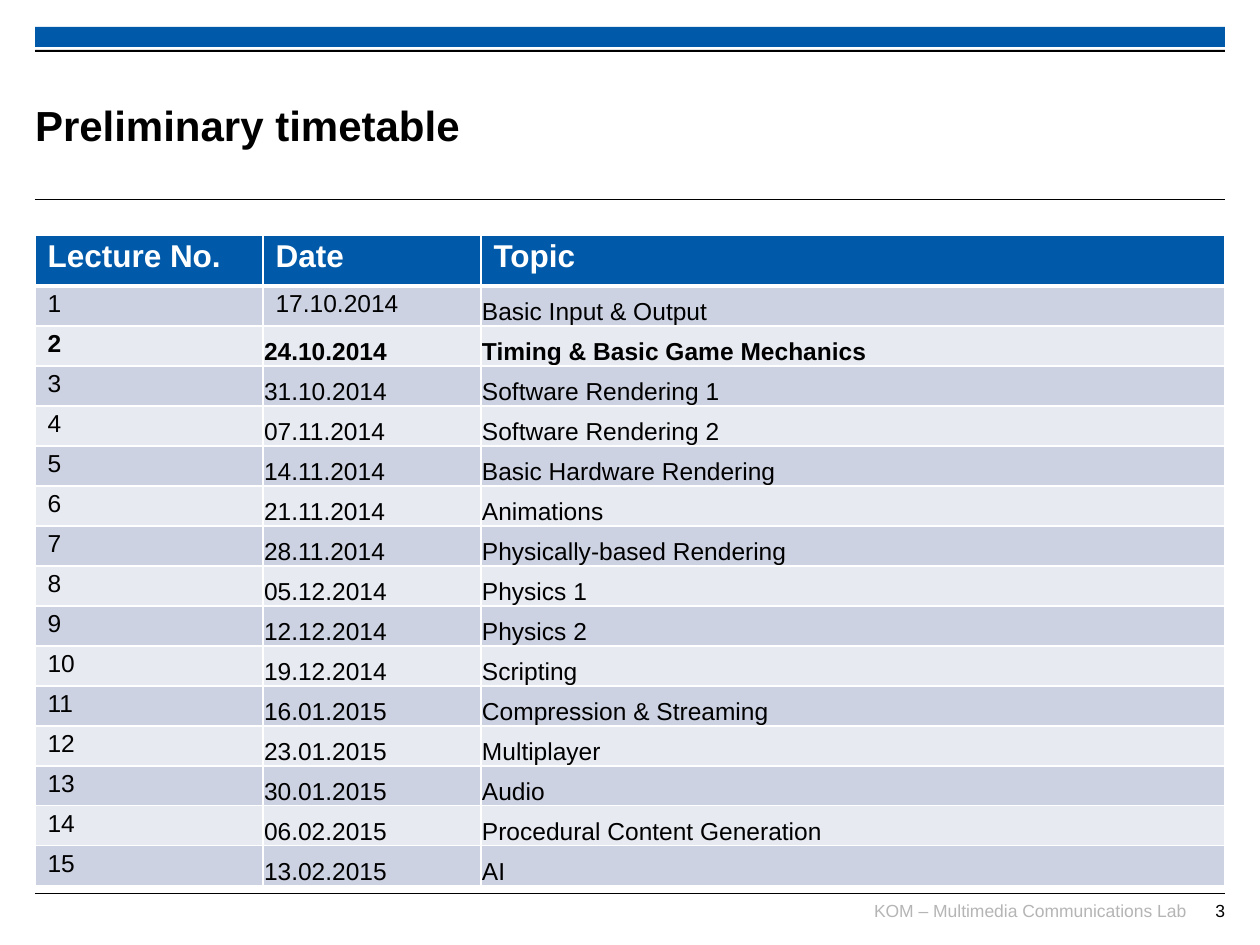
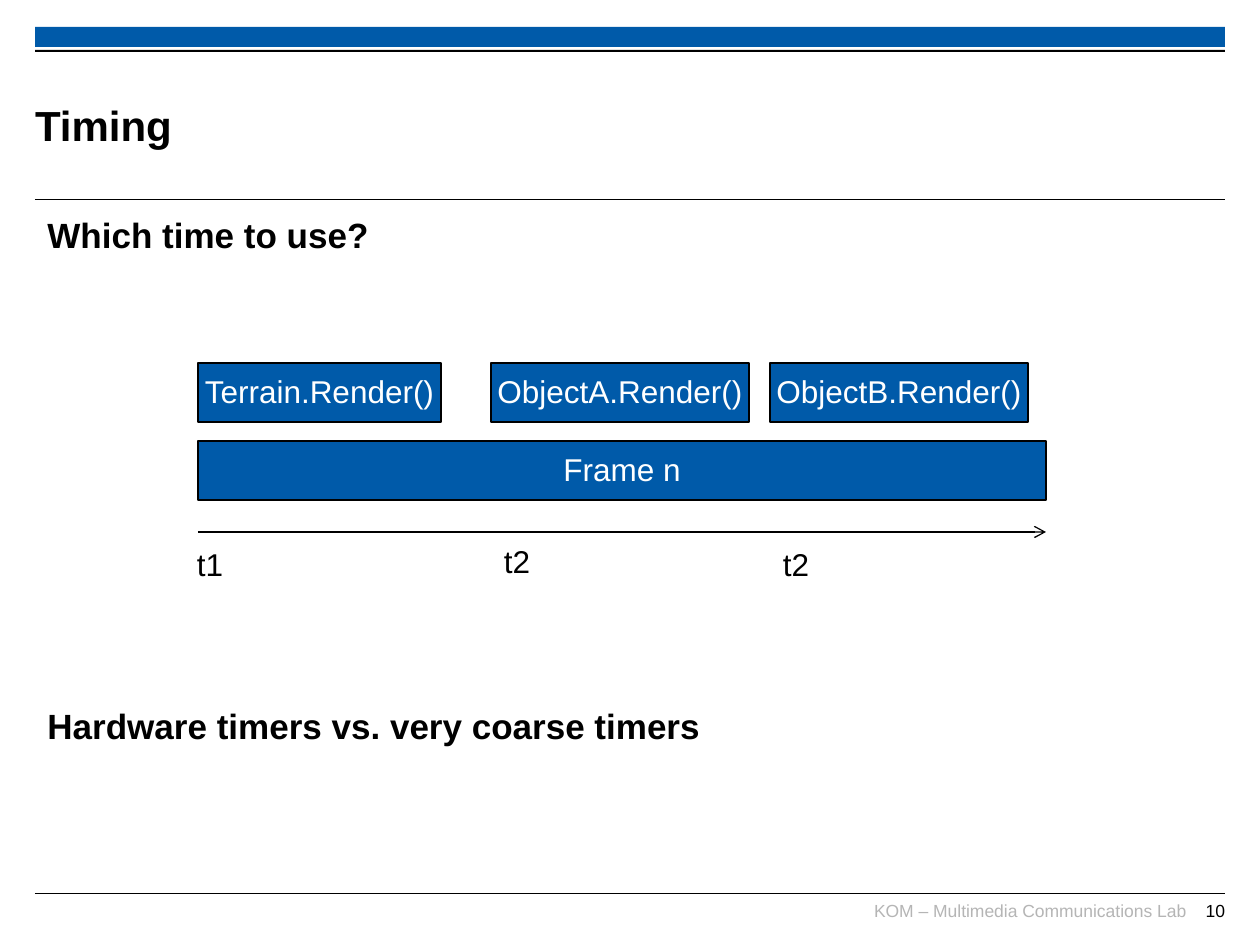
from dataclasses import dataclass

from lxml.etree import SubElement
from pptx import Presentation
from pptx.dml.color import RGBColor
from pptx.enum.shapes import MSO_CONNECTOR, MSO_SHAPE
from pptx.enum.text import MSO_ANCHOR, MSO_AUTO_SIZE, PP_ALIGN
from pptx.oxml.ns import qn
from pptx.util import Emu, Pt

PX_PER_INCH = 126
LEFT, WIDTH = 35, 1190
RIGHT = LEFT + WIDTH


def px(length):
    return Emu(round(length * 914400 / PX_PER_INCH))


@dataclass(frozen=True)
class Theme:
    font: str = "Arial"
    blue: str = "005AA9"
    black: str = "000000"
    white: str = "FFFFFF"
    footer_grey: str = "B5B5B5"
    row_fills: tuple = ("CCD2E2", "E7EAF1")
    title_size: int = 24
    body_size: int = 20
    label_size: int = 18
    cell_size: int = 14
    footer_size: int = 10
    line_spacing: float = 0.93
    rule_width: float = 0.6
    line_width: float = 0.75


class SlideBuilder:
    """Holds the theme and the current slide."""

    def __init__(self, presentation, theme):
        self.presentation = presentation
        self.theme = theme
        self.slide = None

    def new_slide(self, title, number):
        self.slide = self.presentation.slides.add_slide(self.presentation.slide_layouts[5])
        self.title(title)
        # Header band and rules
        self.rectangle(LEFT, 27, WIDTH, 20, self.theme.blue)
        self.rectangle(LEFT, 50, WIDTH, 2, self.theme.black)
        for y in (200, 894):
            self.line(LEFT, RIGHT, y, self.theme.rule_width)
        # Footer
        for text, left, right, color in (
            ("KOM – Multimedia Communications Lab", 868, 1186, self.theme.footer_grey),
            (str(number), 1171, RIGHT, self.theme.black),
        ):
            self.text(text, left, 900, right - left, 30, self.theme.footer_size,
                      color, align=PP_ALIGN.RIGHT, margin=0)

    def format(self, paragraph, size, color, bold=False, align=PP_ALIGN.LEFT):
        paragraph.alignment = align
        font = paragraph.font
        font.name, font.size, font.bold = self.theme.font, Pt(size), bold
        font.color.rgb = RGBColor.from_string(color)

    def set_margins(self, holder, left, top, right, bottom):
        holder.margin_left, holder.margin_top = px(left), px(top)
        holder.margin_right, holder.margin_bottom = px(right), px(bottom)

    def title(self, text):
        shape = self.slide.shapes.title
        shape.left, shape.top, shape.width, shape.height = px(LEFT), px(67), px(948), px(116)
        frame = shape.text_frame
        frame.text = text
        frame.auto_size = MSO_AUTO_SIZE.NONE
        frame.vertical_anchor = MSO_ANCHOR.MIDDLE
        self.set_margins(frame, 0, 0, 0, 0)
        self.format(frame.paragraphs[0], self.theme.title_size, self.theme.black, bold=True)

    def text(self, text, left, top, width, height, size, color, bold=False,
             align=PP_ALIGN.LEFT, margin=None, wrap=True):
        shape = self.slide.shapes.add_textbox(px(left), px(top), px(width), px(height))
        frame = shape.text_frame
        frame.text = text
        frame.word_wrap = wrap
        if margin is not None:
            self.set_margins(frame, margin, margin, margin, margin)
        for paragraph in frame.paragraphs:
            self.format(paragraph, size, color, bold, align)
        return frame

    def rectangle(self, left, top, width, height, fill):
        shape = self.slide.shapes.add_shape(
            MSO_SHAPE.RECTANGLE, px(left), px(top), px(width), px(height))
        shape.shadow.inherit = False
        shape.fill.solid()
        shape.fill.fore_color.rgb = RGBColor.from_string(fill)
        shape.line.fill.background()
        return shape

    def box(self, text, left, top, width, height):
        shape = self.rectangle(left, top, width, height, self.theme.blue)
        shape.line.color.rgb = RGBColor.from_string(self.theme.black)
        shape.line.width = Pt(self.theme.line_width)
        frame = shape.text_frame
        frame.text = text
        frame.word_wrap = False
        frame.vertical_anchor = MSO_ANCHOR.MIDDLE
        paragraph = frame.paragraphs[0]
        self.format(paragraph, self.theme.label_size, self.theme.white, align=PP_ALIGN.CENTER)
        paragraph.line_spacing = self.theme.line_spacing

    def line(self, left, right, y, width, arrow=False):
        connector = self.slide.shapes.add_connector(
            MSO_CONNECTOR.STRAIGHT, px(left), px(y), px(right), px(y))
        connector.line.color.rgb = RGBColor.from_string(self.theme.black)
        connector.line.width = Pt(width)
        if arrow:
            SubElement(connector.line._get_or_add_ln(), qn("a:tailEnd"), type="arrow")
        SubElement(connector._element.spPr, qn("a:effectLst"))

    def cell(self, cell, text, fill, size, color, bold, borders):
        cell.text = text
        paragraph = cell.text_frame.paragraphs[0]
        self.format(paragraph, size, color, bold)
        paragraph.line_spacing = self.theme.line_spacing
        properties = cell._tc.get_or_add_tcPr()
        for side, points in zip("LRTB", borders):
            border = SubElement(properties, qn(f"a:ln{side}"), w=str(Pt(points)))
            border_fill = SubElement(border, qn("a:solidFill"))
            SubElement(border_fill, qn("a:srgbClr"), val=self.theme.white)
        cell.fill.solid()
        cell.fill.fore_color.rgb = RGBColor.from_string(fill)

    def timetable(self, header, lectures, current, top, column_widths, header_height, row_height):
        theme = self.theme
        table = self.slide.shapes.add_table(
            len(lectures) + 1, len(header), px(LEFT), px(top), px(WIDTH),
            px(header_height + row_height * len(lectures))).table
        for column, width in zip(table.columns, column_widths):
            column.width = px(width)
        for row in table.rows:
            row.height = px(row_height)
        table.rows[0].height = px(header_height)

        for column, text in enumerate(header):
            self.cell(table.cell(0, column), text, theme.blue, theme.label_size,
                      theme.white, True, (1, 1, 1, 3))
        for number, lecture in enumerate(lectures, start=1):
            for column, text in enumerate((str(number), *lecture)):
                cell = table.cell(number, column)
                self.cell(cell, text, theme.row_fills[(number - 1) % 2], theme.cell_size,
                          theme.black, number == current, (1, 1, 3 if number == 1 else 1, 1))
                # Numbers and the first date keep the roomy default margins
                if column == 2 or (column == 1 and number > 1):
                    cell.vertical_anchor = MSO_ANCHOR.BOTTOM
                    self.set_margins(cell, 1, 1, 1, 0)


LECTURES = [
    ("17.10.2014", "Basic Input & Output"),
    ("24.10.2014", "Timing & Basic Game Mechanics"),
    ("31.10.2014", "Software Rendering 1"),
    ("07.11.2014", "Software Rendering 2"),
    ("14.11.2014", "Basic Hardware Rendering"),
    ("21.11.2014", "Animations"),
    ("28.11.2014", "Physically-based Rendering"),
    ("05.12.2014", "Physics 1"),
    ("12.12.2014", "Physics 2"),
    ("19.12.2014", "Scripting"),
    ("16.01.2015", "Compression & Streaming"),
    ("23.01.2015", "Multiplayer"),
    ("30.01.2015", "Audio"),
    ("06.02.2015", "Procedural Content Generation"),
    ("13.02.2015", "AI"),
]


def build_timetable(builder):
    builder.new_slide("Preliminary timetable", 3)
    builder.timetable(("Lecture No.", "Date", "Topic"), LECTURES, current=2, top=235,
                      column_widths=(228, 218, 744), header_height=51, row_height=40)


def build_timing(builder):
    theme = builder.theme
    builder.new_slide("Timing", 10)

    # Statements above and below the diagram
    statements = builder.text("Which time to use?\nHardware timers vs. very coarse timers",
                              LEFT, 207, WIDTH, 681, theme.body_size, theme.black, bold=True)
    statements.paragraphs[1].space_before = Pt(257)

    # Render calls within one frame
    frame_left, frame_width, box_height = 198, 848, 59
    builder.box("Frame n", frame_left, 441, frame_width, box_height)
    for call, left, width in (("Terrain.Render()", frame_left, 243),
                              ("ObjectA.Render()", 491, 258),
                              ("ObjectB.Render()", 770, 258)):
        builder.box(call, left, 363, width, box_height)

    # Time axis
    builder.line(frame_left, frame_left + frame_width, 532, theme.line_width, arrow=True)
    for label, left, top in (("t1", 184, 542), ("t2", 491, 539), ("t2", 770, 542)):
        frame = builder.text(label, left, top, 52, 48, theme.label_size, theme.black,
                             align=PP_ALIGN.CENTER, wrap=False)
        frame.paragraphs[0].line_spacing = theme.line_spacing


def main():
    presentation = Presentation()
    presentation.slide_width, presentation.slide_height = px(1260), px(945)
    builder = SlideBuilder(presentation, Theme())
    build_timetable(builder)
    build_timing(builder)
    presentation.save("out.pptx")


if __name__ == "__main__":
    main()
